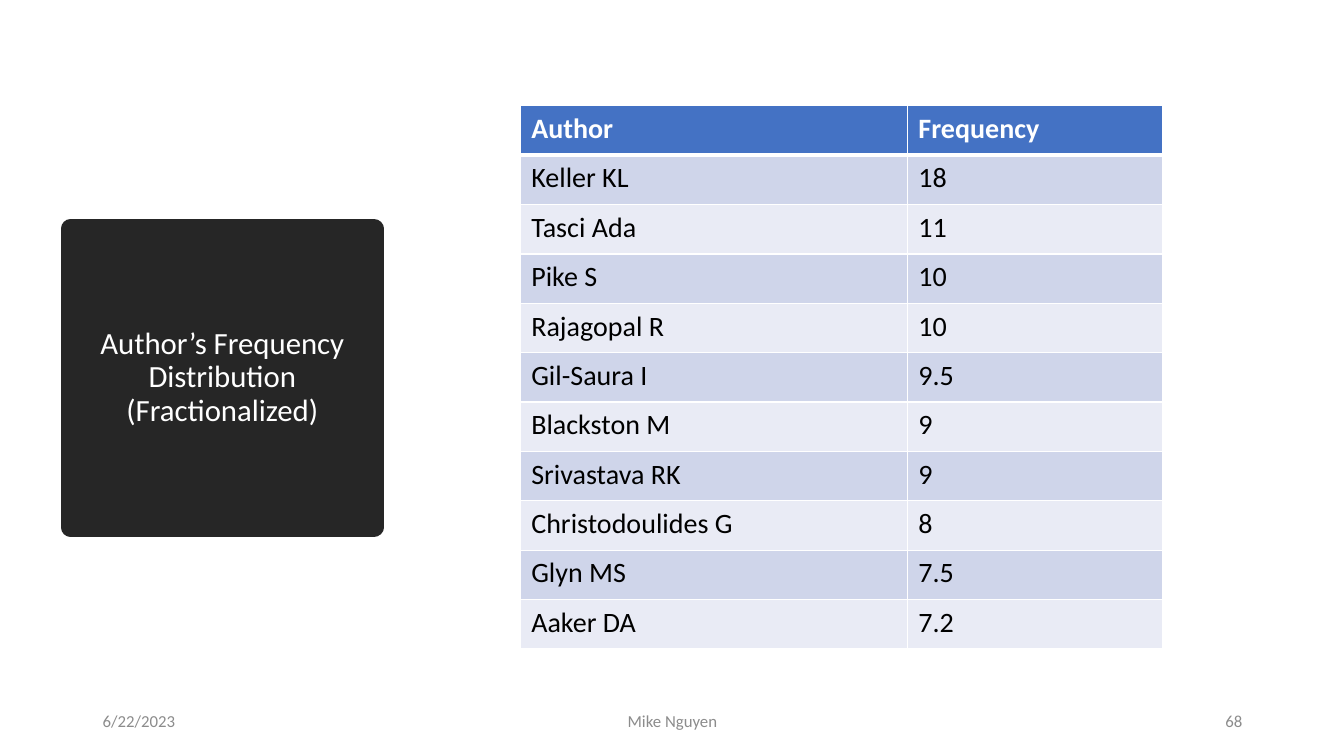
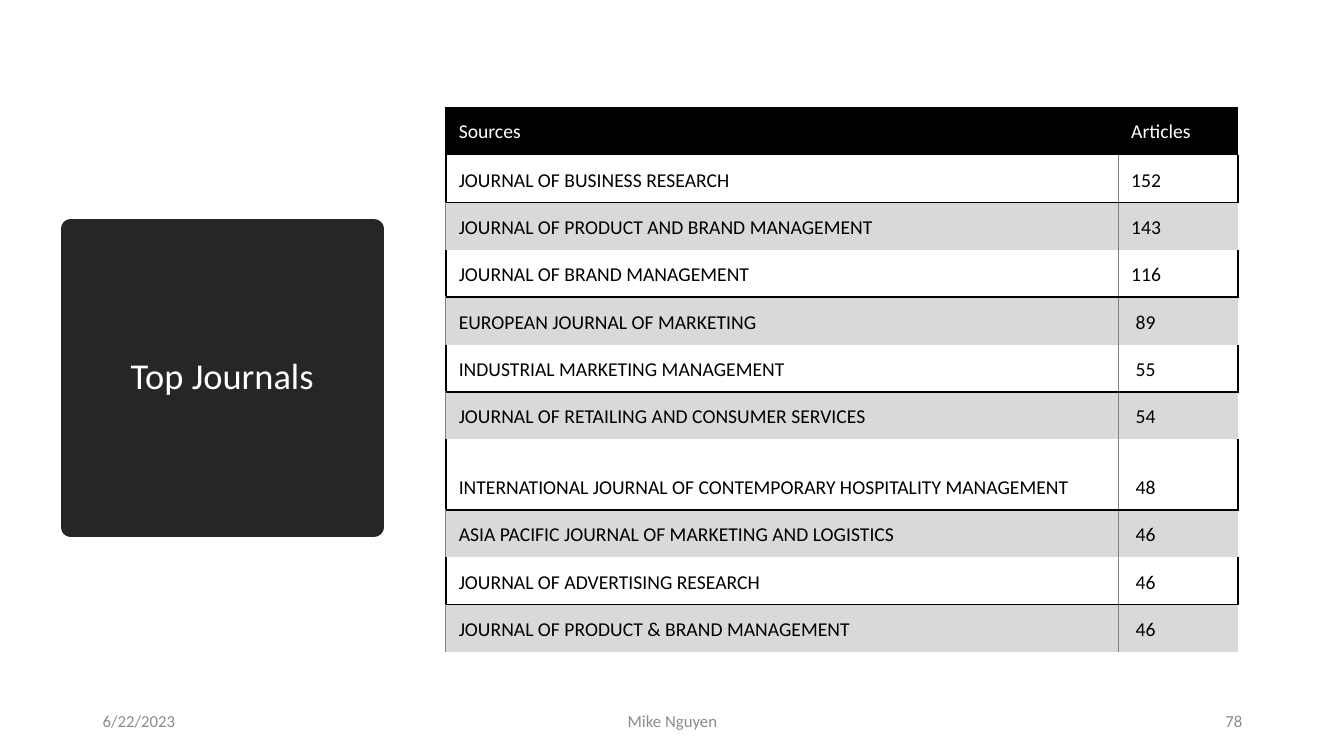
from lxml.etree import SubElement
from pptx import Presentation
from pptx.dml.color import RGBColor
from pptx.enum.text import MSO_ANCHOR, MSO_AUTO_SIZE, PP_ALIGN
from pptx.oxml.ns import qn
from pptx.util import Inches, Pt

FONT = "Calibri"
DARK = "262626"
WHITE = "FFFFFF"
BLACK = "000000"
GREY = "808080"
MUTED = "8C8C8C"
BLUE = "4472C4"
BANDS = ("CFD5EA", "E9EBF5")
SHADE = "D9D9D9"

TITLE = (0.7, 2.27, 3.01, 2.96)
FOOT = (0.92, 6.95, 11.5, 0.4)

AUTHORS = [
    ("Author", "Frequency"),
    ("Keller KL", "18"),
    ("Tasci Ada", "11"),
    ("Pike S", "10"),
    ("Rajagopal R", "10"),
    ("Gil-Saura I", "9.5"),
    ("Blackston M", "9"),
    ("Srivastava RK", "9"),
    ("Christodoulides G", "8"),
    ("Glyn MS", "7.5"),
    ("Aaker DA", "7.2"),
]
SOURCES = [
    ("Sources", "Articles"),
    ("JOURNAL OF BUSINESS RESEARCH", "152"),
    ("JOURNAL OF PRODUCT AND BRAND MANAGEMENT", "143"),
    ("JOURNAL OF BRAND MANAGEMENT", "116"),
    ("EUROPEAN JOURNAL OF MARKETING", " 89"),
    ("INDUSTRIAL MARKETING MANAGEMENT", " 55"),
    ("JOURNAL OF RETAILING AND CONSUMER SERVICES", " 54"),
    ("INTERNATIONAL JOURNAL OF CONTEMPORARY HOSPITALITY MANAGEMENT", " 48"),
    ("ASIA PACIFIC JOURNAL OF MARKETING AND LOGISTICS", " 46"),
    ("JOURNAL OF ADVERTISING RESEARCH", " 46"),
    ("JOURNAL OF PRODUCT & BRAND MANAGEMENT", " 46"),
]


def paint(fill, color):
    if color is None:
        fill.background()
    else:
        fill.solid()
        fill.fore_color.rgb = RGBColor.from_string(color)


def write(frame, text, size=12, color=BLACK, bold=False,
          align=PP_ALIGN.LEFT, space=1.0):
    para = frame.paragraphs[0]
    para.alignment = align
    para.line_spacing = space
    run = para.add_run()
    run.text = text
    run.font.name = FONT
    run.font.size = Pt(size)
    run.font.bold = bold
    paint(run.font.fill, color)


def edge(cell, **sides):
    props = cell._tc.get_or_add_tcPr()
    for side in "LRTB":
        color, width = sides.get(side) or (None, 0)
        line = SubElement(props, qn(f"a:ln{side}"), w=str(int(Pt(width))))
        if color:
            fill = SubElement(line, qn("a:solidFill"))
            SubElement(fill, qn("a:srgbClr"), val=color)
        else:
            SubElement(line, qn("a:noFill"))


def add_title(slide, box, text, size):
    title = slide.shapes.title
    title.left, title.top, title.width, title.height = map(Inches, box)
    paint(title.fill, DARK)
    paint(title.line.fill, DARK)
    title.line.width = Pt(13.75)
    frame = title.text_frame
    frame.word_wrap = True
    frame.auto_size = MSO_AUTO_SIZE.NONE
    frame.vertical_anchor = MSO_ANCHOR.MIDDLE
    write(frame, text, size=size, color=WHITE, align=PP_ALIGN.CENTER, space=0.9)


def add_foot(slide, box, page):
    left, top, width, height = box
    parts = (
        ("6/22/2023", 0, 3, PP_ALIGN.LEFT),
        ("Mike Nguyen", 3.5, 4.5, PP_ALIGN.CENTER),
        (page, width - 3, 3, PP_ALIGN.RIGHT),
    )
    for text, shift, wide, align in parts:
        place = map(Inches, (left + shift, top, wide, height))
        frame = slide.shapes.add_textbox(*place).text_frame
        frame.word_wrap = True
        frame.vertical_anchor = MSO_ANCHOR.MIDDLE
        write(frame, text, color=MUTED, align=align)


def add_grid(slide, box, data, cols, rows, pads, style):
    place = map(Inches, box)
    table = slide.shapes.add_table(len(data), len(cols), *place).table
    for col, width in zip(table.columns, cols):
        col.width = Inches(width)
    for row, height in zip(table.rows, rows):
        row.height = Inches(height)
    for r, line in enumerate(data):
        for c, text in enumerate(line):
            cell = table.cell(r, c)
            (cell.margin_left, cell.margin_top,
             cell.margin_right, cell.margin_bottom) = map(Inches, pads)
            style(cell, r, c, text)


def style_blue(cell, r, c, text):
    head = r == 0
    thin, thick = (WHITE, 1), (WHITE, 3)
    edge(cell, L=thin, R=thin, T=thick if r == 1 else thin,
         B=thick if head else thin)
    paint(cell.fill, BLUE if head else BANDS[(r - 1) % 2])
    cell.vertical_anchor = MSO_ANCHOR.TOP
    write(cell.text_frame, text, size=20, bold=head,
          color=WHITE if head else BLACK)


def style_mono(cell, r, c, text):
    head, band = r == 0, r > 0 and r % 2 == 0
    thick, thin = (BLACK, 1.5), (GREY, 0.5)
    mid = thick if head else thin
    outer = thin if band else thick
    close = None if head or band else thick
    edge(cell, L=mid if c else outer, R=close if c else mid,
         T=thick if head or band else None, B=close)
    paint(cell.fill, BLACK if head else SHADE if band else None)
    cell.vertical_anchor = MSO_ANCHOR.MIDDLE if head else MSO_ANCHOR.BOTTOM
    write(cell.text_frame, text, size=14, color=WHITE if head else BLACK)


def add_page(deck, title, size, page, **grid):
    slide = deck.slides.add_slide(deck.slide_layouts[5])
    add_title(slide, TITLE, title, size)
    add_grid(slide, **grid)
    add_foot(slide, FOOT, page)


def main():
    deck = Presentation()
    deck.slide_width = Inches(13.33)
    deck.slide_height = Inches(7.5)
    add_page(deck, "Author’s Frequency Distribution (Fractionalized)", 22, "68",
             box=(5.16, 1.05, 6.37, 5.39), data=AUTHORS, cols=(3.84, 2.53),
             rows=[0.49] * 11, pads=(0.11, 0.06, 0.11, 0.06), style=style_blue)
    add_page(deck, "Top Journals", 26, "78",
             box=(4.42, 1.07, 7.86, 5.35), data=SOURCES, cols=(6.67, 1.19),
             rows=[0.47] * 7 + [0.7] + [0.47] * 3,
             pads=(0.13, 0.1, 0.01, 0.1), style=style_mono)
    deck.save("out.pptx")


if __name__ == "__main__":
    main()
